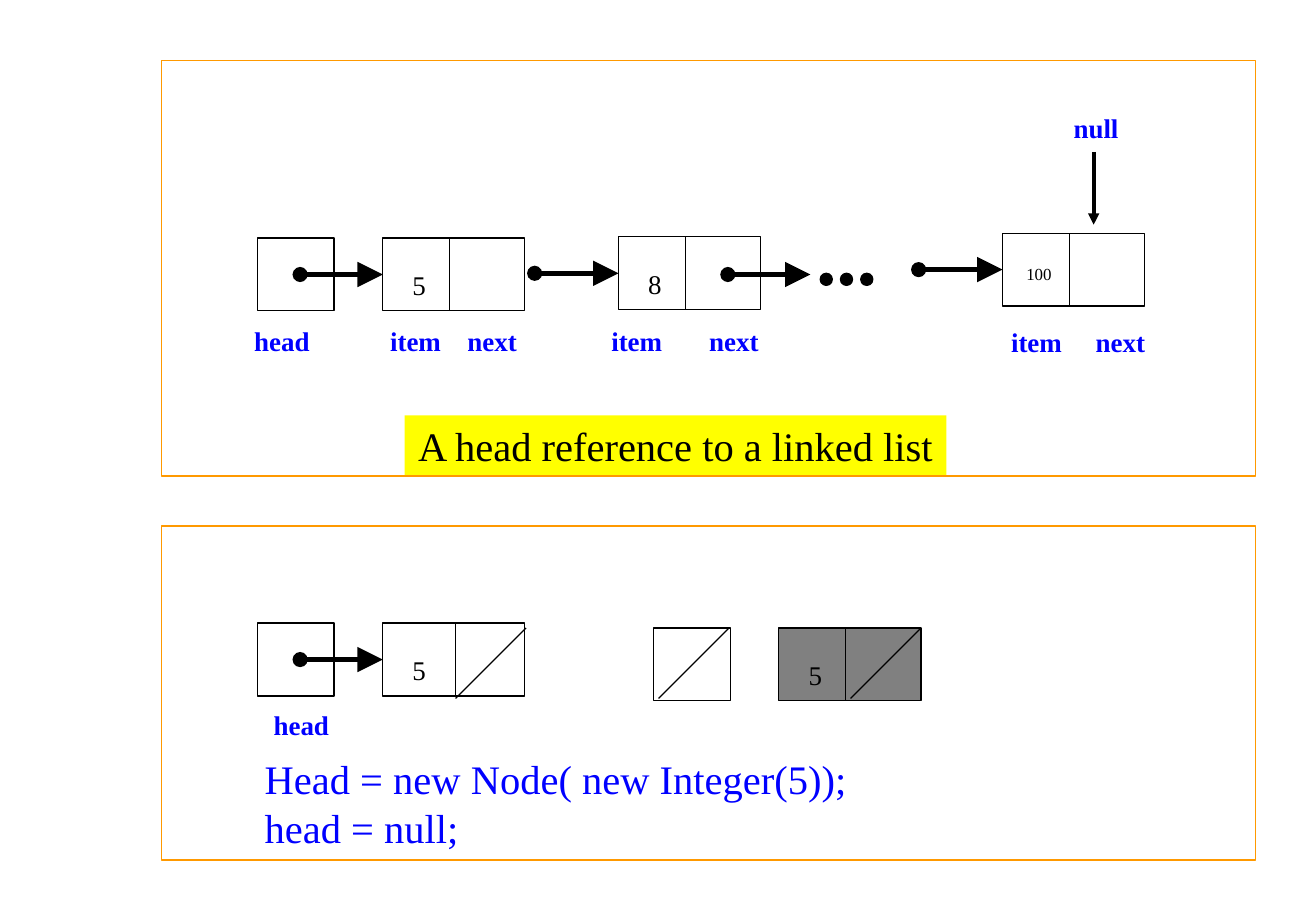
from dataclasses import dataclass

import pptx
import pptx.dml.color
import pptx.enum.shapes
import pptx.enum.text
import pptx.oxml.xmlchemy
import pptx.util
from pptx.util import Inches

SHAPES = pptx.enum.shapes.MSO_SHAPE
ALIGN = pptx.enum.text.PP_ALIGN
ANCHOR = pptx.enum.text.MSO_ANCHOR


@dataclass(frozen=True)
class Theme:
    font: str = "Times New Roman"
    ink: str = "000000"
    paper: str = "FFFFFF"
    label: str = "0000FF"
    highlight: str = "FFFF00"
    deleted: str = "808080"
    panel: str = "FF9900"
    heading_size: float = 24
    label_size: float = 16
    small_size: float = 10
    thin: float = 0.75
    medium: float = 2.25
    thick: float = 3


THEME = Theme()
BOX_HEIGHT = 0.6
NODE_WIDTH = 1.17
HEAD_WIDTH = 0.63
SLASH_HEIGHT = 0.58


@dataclass(frozen=True)
class Node:
    left: float
    top: float
    value: str
    divider: float = 0.55
    fill: str = THEME.paper
    value_size: float = THEME.label_size
    arrow_start: float | None = None


@dataclass(frozen=True)
class Label:
    text: str
    center: float
    top: float


@dataclass(frozen=True)
class Segment:
    x1: float
    y1: float
    x2: float
    y2: float


NODES = [
    Node(3.15, 1.96, "5", arrow_start=2.47),
    Node(5.09, 1.95, "8", arrow_start=4.4),
    Node(8.25, 1.92, "100", value_size=THEME.small_size, arrow_start=7.56),
    Node(3.15, 5.13, "5", divider=0.6, arrow_start=2.47),
    Node(6.41, 5.17, "5", fill=THEME.deleted),
]
HEAD_BOXES = [(2.12, 1.96), (2.12, 5.13), (5.38, 5.17)]
LABELS = [
    Label("null", 9.02, 0.92),
    Label("head", 2.32, 2.67),
    Label("item", 3.42, 2.67),
    Label("next", 4.05, 2.67),
    Label("item", 5.24, 2.67),
    Label("next", 6.04, 2.67),
    Label("item", 8.53, 2.68),
    Label("next", 9.22, 2.68),
    Label("head", 2.48, 5.83),
]
SLASH_LEFTS = [3.75, 5.42, 7.0]
PANELS = [(0.5, 3.42), (4.33, 2.75)]


def color(value: str) -> pptx.dml.color.RGBColor:
    return pptx.dml.color.RGBColor.from_string(value)


def add_box(slide, left: float, top: float, width: float, height: float, *,
            kind=SHAPES.RECTANGLE, fill: str | None = THEME.paper,
            line: str | None = THEME.ink):
    shape = slide.shapes.add_shape(
        kind, Inches(left), Inches(top), Inches(width), Inches(height))
    shape.shadow.inherit = False
    if fill:
        shape.fill.solid()
        shape.fill.fore_color.rgb = color(fill)
    else:
        shape.fill.background()
    if line:
        shape.line.color.rgb = color(line)
        shape.line.width = pptx.util.Pt(THEME.thin)
    else:
        shape.line.fill.background()
    return shape


def write_text(shape, text: str, *, size: float = THEME.label_size,
               ink: str = THEME.ink, bold: bool = False,
               align=ALIGN.CENTER, anchor=ANCHOR.TOP, margins=(0, 0)) -> None:
    """Margins are horizontal and vertical, in inches."""
    frame = shape.text_frame
    frame.word_wrap = False
    frame.vertical_anchor = anchor
    frame.margin_left = frame.margin_right = Inches(margins[0])
    frame.margin_top = frame.margin_bottom = Inches(margins[1])
    frame.text = text
    for paragraph in frame.paragraphs:
        paragraph.alignment = align
        paragraph.font.name = THEME.font
        paragraph.font.size = pptx.util.Pt(size)
        paragraph.font.bold = bold
        paragraph.font.color.rgb = color(ink)


def add_text_box(slide, left: float, top: float, width: float, height: float):
    return slide.shapes.add_textbox(
        Inches(left), Inches(top), Inches(width), Inches(height))


def add_line(slide, segment: Segment, width: float = THEME.thin, *,
             start: str | None = None, end: str | None = None,
             end_size: str = "med"):
    """Start and end name the line-end marks, such as oval or triangle."""
    connector = slide.shapes.add_connector(
        pptx.enum.shapes.MSO_CONNECTOR.STRAIGHT,
        Inches(segment.x1), Inches(segment.y1),
        Inches(segment.x2), Inches(segment.y2))
    connector.line.color.rgb = color(THEME.ink)
    connector.line.width = pptx.util.Pt(width)
    outline = connector.get_or_add_ln()
    for tag, mark, mark_size in (("a:headEnd", start, "med"), ("a:tailEnd", end, end_size)):
        if mark:
            element = pptx.oxml.xmlchemy.OxmlElement(tag)
            for name, value in (("type", mark), ("w", mark_size), ("len", mark_size)):
                element.set(name, value)
            outline.append(element)
    connector._element.spPr.append(pptx.oxml.xmlchemy.OxmlElement("a:effectLst"))
    return connector


def add_reference(slide, start_x: float, end_x: float, y: float):
    return add_line(slide, Segment(start_x, y, end_x, y), THEME.thick,
                    start="oval", end="triangle", end_size="lg")


def add_node(slide, node: Node) -> None:
    box = add_box(slide, node.left, node.top, NODE_WIDTH, BOX_HEIGHT, fill=node.fill)
    divider_x = node.left + node.divider
    add_line(slide, Segment(divider_x, node.top, divider_x, node.top + BOX_HEIGHT))
    value = add_text_box(slide, node.left + 0.15, node.top + 0.25, 0.3, 0.27)
    write_text(value, node.value, size=node.value_size)
    if node.arrow_start is not None:
        arrow = add_reference(slide, node.arrow_start, node.left, node.top + BOX_HEIGHT / 2)
        arrow.end_connect(box, 1)


def main() -> None:
    presentation = pptx.Presentation()
    presentation.slide_width = Inches(10.83)
    presentation.slide_height = Inches(7.5)
    slide = presentation.slides.add_slide(presentation.slide_layouts[6])

    for left, top in HEAD_BOXES:
        add_box(slide, left, top, HEAD_WIDTH, BOX_HEIGHT)
    for node in NODES:
        add_node(slide, node)
    for left in SLASH_LEFTS:
        add_line(slide, Segment(left, 5.17 + SLASH_HEIGHT, left + SLASH_HEIGHT, 5.17))

    add_reference(slide, 5.99, 6.67, 2.26)
    add_line(slide, Segment(9, 1.25, 9, 1.85), THEME.medium, end="triangle")
    for index in range(3):
        add_box(slide, 6.75 + index / 6, 2.25, 0.1, 0.1, kind=SHAPES.OVAL, fill=THEME.ink)

    for label in LABELS:
        box = add_text_box(slide, label.center - 0.25, label.top, 0.5, 0.27)
        write_text(box, label.text, ink=THEME.label, bold=True)
    banner = add_box(slide, 3.33, 3.42, 4.46, 0.5, fill=THEME.highlight, line=None)
    write_text(banner, "A head reference to a linked list", size=THEME.heading_size,
               anchor=ANCHOR.MIDDLE, margins=(0.1, 0.05))
    code = add_text_box(slide, 2.08, 6.16, 4.99, 0.9)
    write_text(code, "Head = new Node( new Integer(5));\nhead = null;",
               size=THEME.heading_size, ink=THEME.label, align=ALIGN.LEFT,
               anchor=ANCHOR.MIDDLE, margins=(0.1, 0.05))

    for top, height in PANELS:
        add_box(slide, 1.33, top, 9, height, fill=None, line=THEME.panel)
    presentation.save("out.pptx")


if __name__ == "__main__":
    main()
